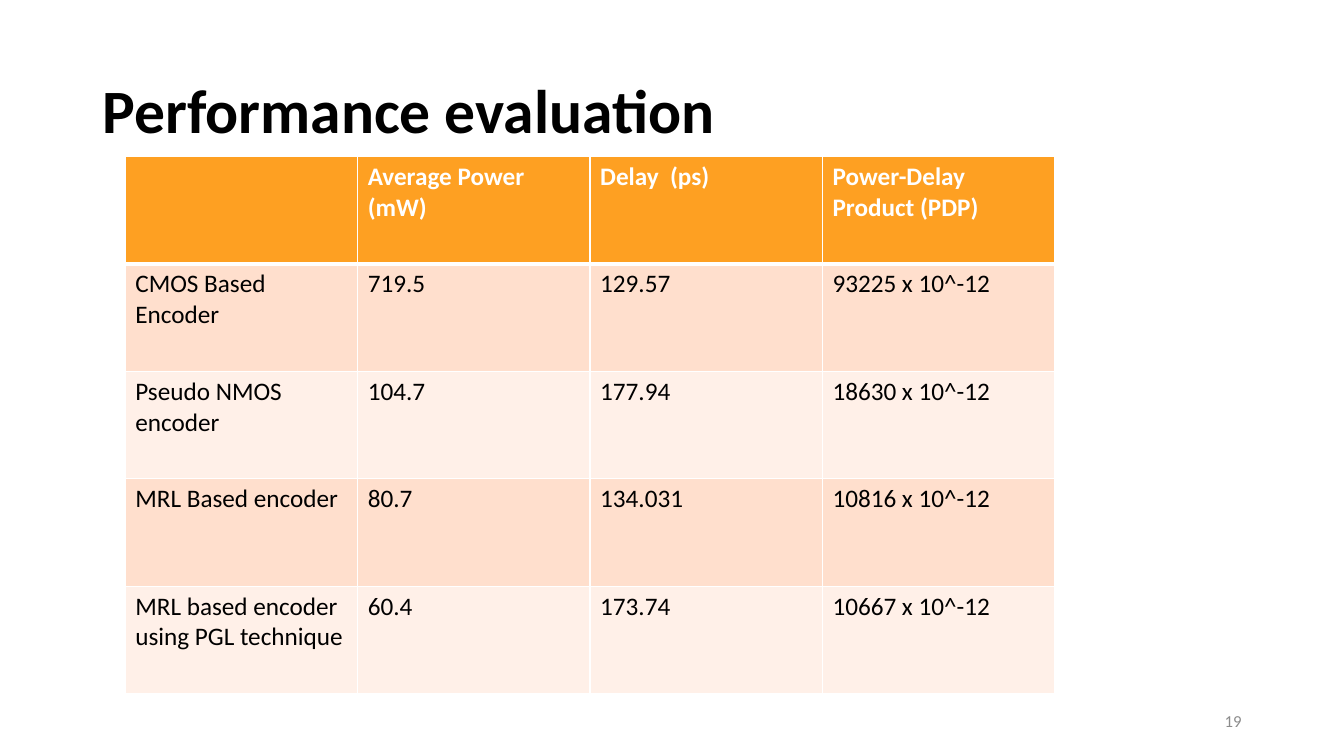
import pptx
import pptx.dml.color
import pptx.enum.text
import pptx.oxml
import pptx.oxml.ns
import pptx.util

Pt = pptx.util.Pt
ANCHOR = pptx.enum.text.MSO_ANCHOR
ALIGN = pptx.enum.text.PP_ALIGN

FONT = "Calibri"
BLACK, WHITE, GREY = "000000", "FFFFFF", "8C8C8C"
ORANGE, PEACH, CREAM = "FEA022", "FFDFCD", "FFF0E8"

RESULTS = [
    ["", "Average Power (mW)", "Delay  (ps)", "Power-Delay Product (PDP)"],
    ["CMOS Based Encoder", "719.5", "129.57", "93225 x 10^-12"],
    ["Pseudo NMOS encoder", "104.7", "177.94", "18630 x 10^-12"],
    ["MRL Based encoder", "80.7", "134.031", "10816 x 10^-12"],
    ["MRL based encoder using PGL technique", "60.4", "173.74", "10667 x 10^-12"],
]


def rgb(hex_code):
    """Turn a hex string into a colour."""
    return pptx.dml.color.RGBColor.from_string(hex_code)


def add_run(paragraph, text, size, color, bold=False):
    """Append one formatted run to a paragraph."""
    run = paragraph.add_run()
    run.text = text
    run.font.name = FONT
    run.font.size = Pt(size)
    run.font.bold = bold
    run.font.color.rgb = rgb(color)


def set_borders(cell, color, bottom_width, top_width):
    """Draw the four borders of a table cell."""
    properties = cell._tc.get_or_add_tcPr()
    widths = {"L": 1, "R": 1, "T": top_width, "B": bottom_width}
    for position, (side, width) in enumerate(widths.items()):
        border = pptx.oxml.parse_xml(
            f'<a:ln{side} {pptx.oxml.ns.nsdecls("a")} w="{Pt(width)}">'
            f'<a:solidFill><a:srgbClr val="{color}"/></a:solidFill></a:ln{side}>'
        )
        properties.insert(position, border)


def add_heading(slide, left, top, width, height):
    """Place the slide title in the given box."""
    heading = slide.shapes.title
    heading.left, heading.top = Pt(left), Pt(top)
    heading.width, heading.height = Pt(width), Pt(height)
    frame = heading.text_frame
    frame.word_wrap = True
    frame.vertical_anchor = ANCHOR.MIDDLE
    paragraph = frame.paragraphs[0]
    paragraph.alignment = ALIGN.LEFT
    paragraph.line_spacing = 0.9
    add_run(paragraph, "Performance evaluation", 44, BLACK, bold=True)


def add_page_number(slide, left, top, width, height):
    """Place the page number at the right of the given box."""
    page_number = slide.shapes.add_textbox(Pt(left), Pt(top), Pt(width), Pt(height))
    frame = page_number.text_frame
    frame.word_wrap = True
    frame.vertical_anchor = ANCHOR.MIDDLE
    frame.paragraphs[0].alignment = ALIGN.RIGHT
    add_run(frame.paragraphs[0], "19", 12, GREY)


def add_results(slide, left, top, width, height):
    """Fill the given box with the table of encoder results."""
    results = slide.shapes.add_table(
        len(RESULTS), len(RESULTS[0]), Pt(left), Pt(top), Pt(width), Pt(height)
    ).table
    for column in results.columns:
        column.width = Pt(width / len(RESULTS[0]))
    for row_index, values in enumerate(RESULTS):
        results.rows[row_index].height = Pt(height / len(RESULTS))
        is_header = row_index == 0
        band = ORANGE if is_header else (CREAM, PEACH)[row_index % 2]
        for column_index, value in enumerate(values):
            cell = results.cell(row_index, column_index)
            cell.fill.solid()
            cell.fill.fore_color.rgb = rgb(band)
            set_borders(cell, WHITE, 3 if is_header else 1, 3 if row_index == 1 else 1)
            if value:
                add_run(cell.text_frame.paragraphs[0], value, 18,
                        WHITE if is_header else BLACK, bold=is_header)


def main():
    """Build the slide and save it."""
    deck = pptx.Presentation()
    deck.slide_width, deck.slide_height = Pt(960), Pt(540)
    slide = deck.slides.add_slide(deck.slide_layouts[5])
    add_heading(slide, 66, 28.75, 828, 104.4)
    add_page_number(slide, 678, 500.5, 216, 28.75)
    add_results(slide, 89.5, 111.75, 664, 383.75)
    deck.save("out.pptx")


if __name__ == "__main__":
    main()
